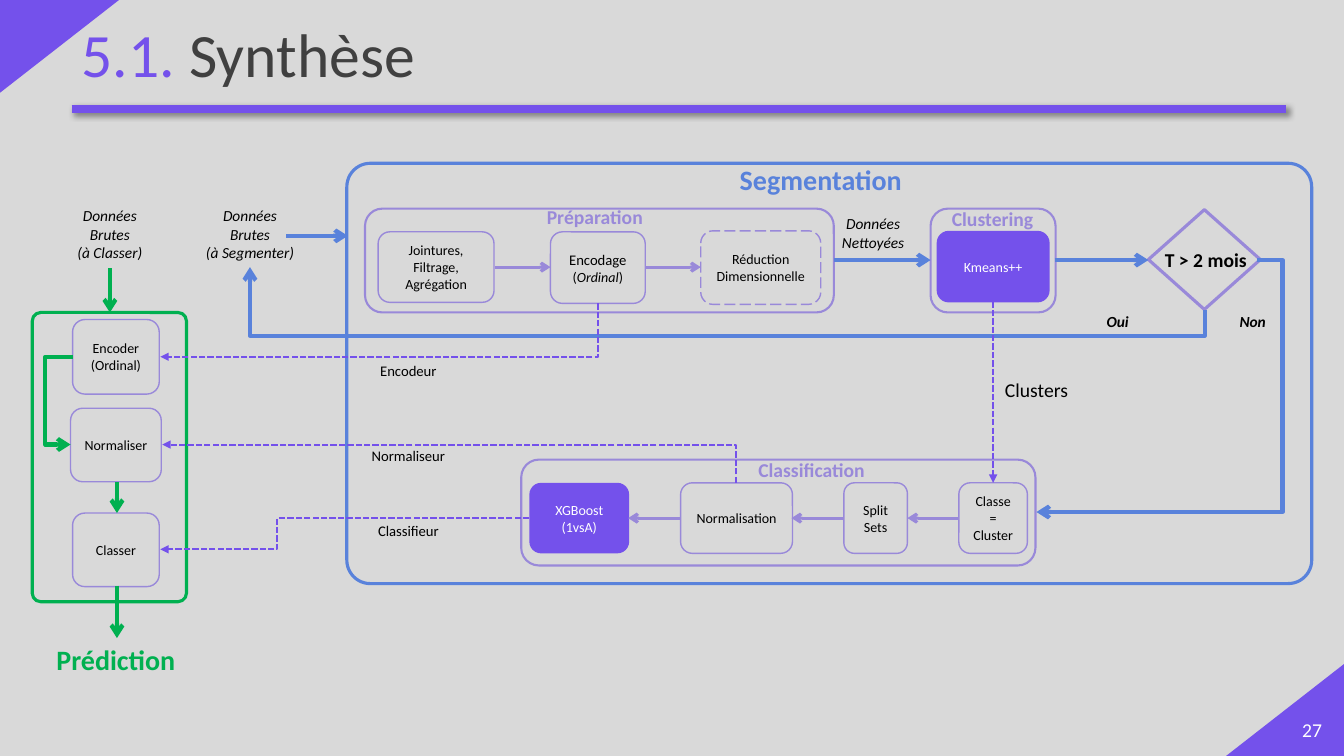
from lxml.etree import SubElement
from pptx import Presentation
from pptx.dml.color import RGBColor
from pptx.enum.dml import MSO_LINE
from pptx.enum.shapes import MSO_CONNECTOR, MSO_SHAPE
from pptx.enum.text import MSO_ANCHOR, PP_ALIGN
from pptx.oxml.ns import qn
from pptx.util import Inches, Pt

VIOLET, LILAC, BLUE, GREEN = "7451EB", "9989D9", "5982DB", "00B050"
BLACK, WHITE, DARK, GREY = "000000", "FFFFFF", "404040", "D9D9D9"


def color(hex_code):
    return RGBColor.from_string(hex_code)


class Diagram:
    """Style and current slide, with one method per kind of element."""

    font_name = "Calibri"

    def __init__(self, slide):
        self.slide = slide
        self.shapes = slide.shapes
        slide.background.fill.solid()
        slide.background.fill.fore_color.rgb = color(GREY)

    def set_text(self, frame, lines, size, ink, align=PP_ALIGN.CENTER, anchor=MSO_ANCHOR.TOP,
                 wrap=True, **styles):
        frame.word_wrap = wrap
        frame.vertical_anchor = anchor
        for number, line in enumerate(lines):
            paragraph = frame.paragraphs[0] if number == 0 else frame.add_paragraph()
            paragraph.alignment = align
            for text, changes in ([(line, {})] if isinstance(line, str) else line):
                run = paragraph.add_run()
                run.text = text
                look = {"name": self.font_name, "size": size, "ink": ink, **styles, **changes}
                run.font.color.rgb = color(look.pop("ink"))
                look["size"] = Pt(look["size"])
                for key, value in look.items():
                    setattr(run.font, key, value)

    def title(self, place, runs):
        heading = self.shapes.title
        for key, value in zip(("left", "top", "width", "height"), place):
            setattr(heading, key, Inches(value))
        self.set_text(heading.text_frame, [runs], 44, DARK, PP_ALIGN.LEFT, MSO_ANCHOR.MIDDLE)
        heading.text_frame.paragraphs[0].line_spacing = 0.9

    def label(self, place, text, size, ink=BLACK, **styles):
        holder = self.shapes.add_textbox(*map(Inches, place))
        self.set_text(holder.text_frame, text.split("\n"), size, ink, **styles)

    def shape(self, place, kind=MSO_SHAPE.ROUNDED_RECTANGLE, fill=None, outline=None, weight=1,
              dash=None, corner=None, lines=(), size=10, rotation=0):
        item = self.shapes.add_shape(kind, *map(Inches, place))
        item.shadow.inherit = False
        item.rotation = rotation
        if corner:
            item.adjustments[0] = corner
        if fill:
            item.fill.solid()
            item.fill.fore_color.rgb = color(fill)
        else:
            item.fill.background()
        if outline:
            self.stroke(item.line, outline, weight, dash)
        else:
            item.line.fill.background()
        self.set_text(item.text_frame, lines, size, WHITE if fill else BLACK,
                      anchor=MSO_ANCHOR.MIDDLE)

    def stroke(self, line, ink, weight, dash=None):
        line.color.rgb = color(ink)
        for key, value in {"width": Pt(weight), "dash_style": dash}.items():
            setattr(line, key, value)

    def line(self, start, end, ink, weight, dash=None, tip="arrow", kind=MSO_CONNECTOR.STRAIGHT):
        link = self.shapes.add_connector(kind, *map(Inches, (*start, *end)))
        self.stroke(link.line, ink, weight, dash)
        properties = link._element.spPr
        if tip:
            SubElement(properties.find(qn("a:ln")), qn("a:tailEnd"), type=tip)
        SubElement(properties, qn("a:effectLst"))
        return properties

    def elbow(self, start, end, ink, weight, bend=None, vertical=False, **styles):
        (x1, y1), (x2, y2) = start, end
        dx, dy = x2 - x1, y2 - y1
        if vertical:
            cx, cy = (x1 + x2) / 2, (y1 + y2) / 2
            start, end = (cx - dy / 2, cy + dx / 2), (cx + dy / 2, cy - dx / 2)
        properties = self.line(start, end, ink, weight, kind=MSO_CONNECTOR.ELBOW, **styles)
        if vertical:
            properties.find(qn("a:xfrm")).set("rot", "5400000")
        geometry = properties.find(qn("a:prstGeom"))
        if bend is None:
            geometry.set("prst", "bentConnector2")
        else:
            share = (bend - y1) / dy if vertical else (bend - x1) / dx
            SubElement(geometry.find(qn("a:avLst")), qn("a:gd"),
                       name="adj1", fmla=f"val {round(share * 100000)}")

    def header_rule(self, start, end):
        properties = self.line(start, end, VIOLET, 6, tip=None)
        shadow = SubElement(properties.find(qn("a:effectLst")), qn("a:outerShdw"),
                            blurRad=str(Pt(4)), dist=str(Pt(3)), dir="2700000",
                            algn="tl", rotWithShape="0")
        ink = SubElement(shadow, qn("a:srgbClr"), val=BLACK)
        SubElement(ink, qn("a:alpha"), val="40000")


def main():
    deck = Presentation()
    deck.slide_width, deck.slide_height = Inches(13.33), Inches(7.5)
    diagram = Diagram(deck.slides.add_slide(deck.slide_layouts[5]))

    for place, rotation in (((0.13, -0.13, 0.92, 1.18), 90), ((12.29, 6.45, 0.92, 1.18), 270)):
        diagram.shape(place, MSO_SHAPE.RIGHT_TRIANGLE, VIOLET, rotation=rotation)
    diagram.header_rule((0.71, 1.08), (12.75, 1.08))
    diagram.title((0.71, -0.15, 12.36, 1.45), [("5.1.", {"ink": VIOLET}), (" Synthèse", {})])
    diagram.label((12.75, 7.04, 0.53, 0.4), "27", 14, WHITE, anchor=MSO_ANCHOR.MIDDLE)

    for place, ink, weight, corner in (
        ((3.62, 2.07, 4.65, 1.03), LILAC, 1.5, None),
        ((9.23, 2.07, 1.24, 1.03), LILAC, 1.5, None),
        ((5.17, 4.56, 5.1, 1.05), LILAC, 1.5, None),
        ((3.44, 1.62, 9.57, 4.17), BLUE, 2.25, 0.056),
        ((0.32, 3.1, 1.53, 2.87), GREEN, 2.25, 0.056),
    ):
        diagram.shape(place, outline=ink, weight=weight, corner=corner)
    diagram.shape((11.39, 2.08, 1.11, 0.99), MSO_SHAPE.DIAMOND, outline=LILAC, weight=2.25)

    ordinal = [("(", {"size": 10}), ("Ordinal", {"size": 10, "italic": True}), (")", {"size": 10})]
    for place, lines, size in (
        ((3.75, 2.3, 1.15, 0.7), ["Jointures,", "Filtrage,", "Agrégation"], 10),
        ((5.46, 2.3, 0.94, 0.71), ["Encodage", ordinal], 10.5),
        ((6.75, 4.79, 1.11, 0.7), ["Normalisation"], 10),
        ((8.37, 4.79, 0.63, 0.7), ["Split Sets"], 10),
        ((9.51, 4.79, 0.68, 0.7), ["Classe = Cluster"], 10),
        ((0.72, 3.17, 0.86, 0.74), ["Encoder", "(Ordinal)"], 10),
        ((0.7, 4.05, 0.9, 0.73), ["Normaliser"], 10),
        ((0.72, 5.09, 0.86, 0.73), ["Classer"], 10),
    ):
        diagram.shape(place, outline=LILAC, lines=lines, size=size)
    diagram.shape((6.95, 2.29, 1.19, 0.73), outline=LILAC, dash=MSO_LINE.LONG_DASH,
                  lines=["Réduction Dimensionnelle"])
    diagram.shape((9.29, 2.29, 1.12, 0.71), fill=VIOLET, lines=["Kmeans++"])
    diagram.shape((5.25, 4.79, 0.99, 0.7), fill=VIOLET, lines=["XGBoost (1vsA)"])

    for place, heading, size, ink in (
        ((6.82, 1.56, 2.64, 0.44), "Segmentation", 20, BLUE),
        ((0.1, 6.33, 2.1, 0.44), "Prédiction", 20, GREEN),
        ((4.85, 1.98, 2.1, 0.34), "Préparation", 14, LILAC),
        ((9.08, 2, 1.53, 0.34), "Clustering", 14, LILAC),
        ((7, 4.49, 2.1, 0.34), "Classification", 14, LILAC),
    ):
        diagram.label(place, heading, size, ink, bold=True)
    for place, data in (
        ((0.4, 2, 1.38, 0.66), "Données\nBrutes\n(à Classer)"),
        ((1.94, 2, 1.08, 0.66), "Données\nBrutes\n(à Segmenter)"),
        ((7.97, 2.08, 1.38, 0.47), "Données Nettoyées"),
    ):
        diagram.label(place, data, 11, italic=True)
    for left, answer in ((10.75, "Oui"), (12.09, "Non")):
        diagram.label((left, 3.05, 0.67, 0.29), answer, 11, bold=True, italic=True)
    for top, model in ((3.54, "Encodeur"), (4.38, "Normaliseur"), (5.13, "Classifieur")):
        diagram.label((3.44, top, 1.22, 0.28), model, 10.5)
    diagram.label((9.67, 3.7, 1.22, 0.34), "Clusters", 14)
    diagram.label((11.45, 2.41, 1.02, 0.34), "T > 2 mois", 14, bold=True, wrap=False)

    for y, ink, weight, spans in (
        (2.65, LILAC, 2.25, ((4.91, 5.46), (6.4, 6.95))),
        (5.14, LILAC, 2.25, ((6.75, 6.23), (8.37, 7.85), (9.51, 9))),
        (2.58, BLUE, 3, ((8.27, 9.23), (10.46, 11.39))),
        (2.34, BLUE, 3, ((2.84, 3.45),)),
    ):
        for x1, x2 in spans:
            diagram.line((x1, y), (x2, y), ink, weight)
    for x, y1, y2 in ((1.09, 2.66, 3.1), (1.16, 4.78, 5.09), (1.16, 5.81, 6.33)):
        diagram.line((x, y1), (x, y2), GREEN, 3)

    diagram.elbow((12.47, 2.58), (10.28, 5.08), BLUE, 3, bend=12.72)
    diagram.elbow((11.95, 3.08), (2.48, 2.65), BLUE, 3, bend=3.33, vertical=True)
    diagram.elbow((0.72, 3.54), (0.7, 4.41), GREEN, 3, bend=0.45)
    dashed = {"ink": VIOLET, "weight": 1.5, "dash": MSO_LINE.SQUARE_DOT, "tip": "triangle"}
    diagram.line((9.85, 2.99), (9.85, 4.79), **dashed)
    diagram.elbow((5.93, 3.01), (1.59, 3.54), vertical=True, **dashed)
    diagram.elbow((7.3, 4.79), (1.61, 4.41), vertical=True, **dashed)
    diagram.elbow((5.25, 5.14), (1.59, 5.45), bend=2.75, **dashed)

    deck.save("out.pptx")


if __name__ == "__main__":
    main()
